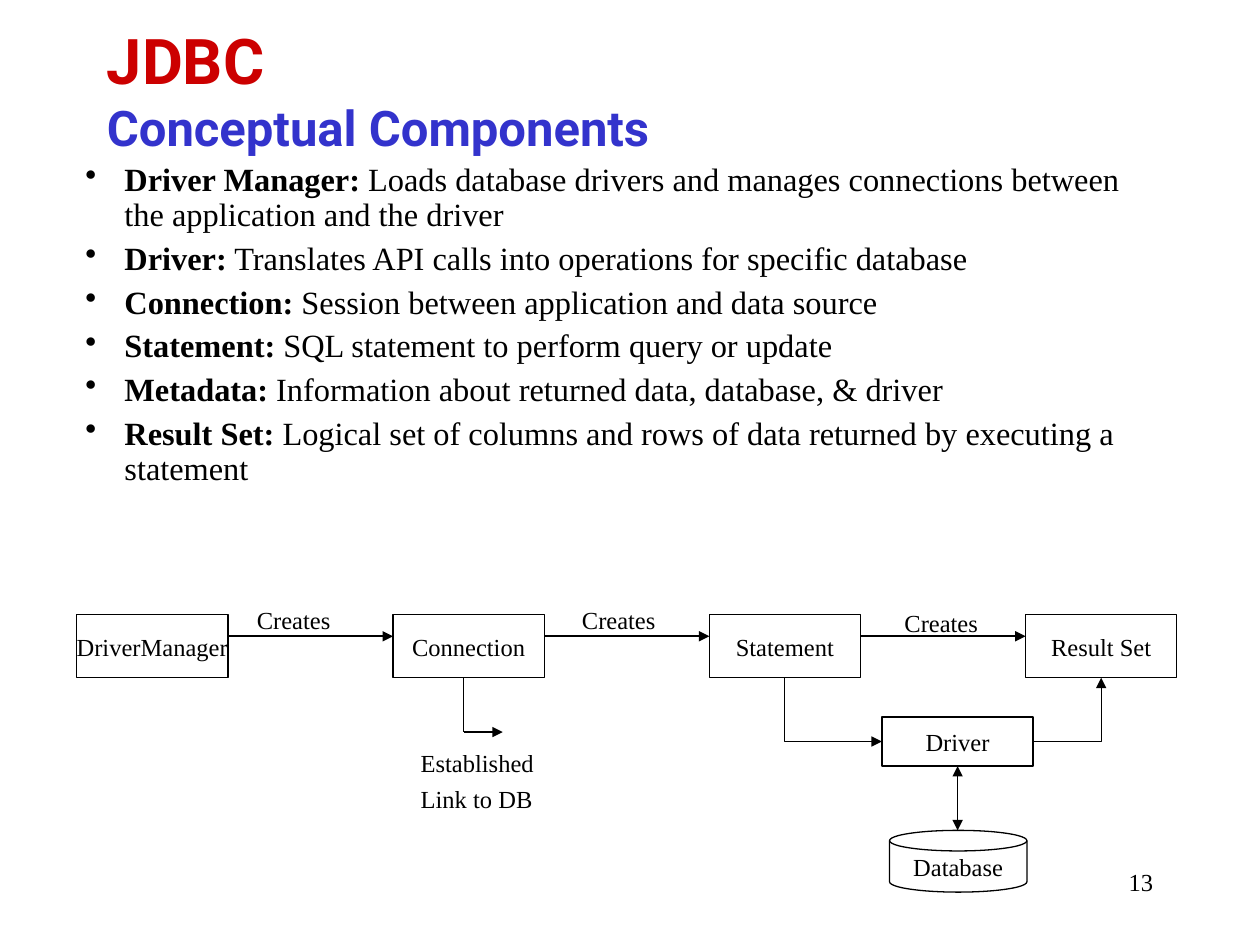
from lxml import etree
from pptx import Presentation
from pptx.dml.color import RGBColor
from pptx.enum.shapes import MSO_CONNECTOR, MSO_SHAPE
from pptx.enum.text import MSO_ANCHOR, MSO_AUTO_SIZE, PP_ALIGN
from pptx.oxml.ns import qn
from pptx.util import Inches, Pt

STRAIGHT, ELBOW = MSO_CONNECTOR.STRAIGHT, MSO_CONNECTOR.ELBOW
RECTANGLE, DISK = MSO_SHAPE.RECTANGLE, MSO_SHAPE.FLOWCHART_MAGNETIC_DISK
TOP, MIDDLE = MSO_ANCHOR.TOP, MSO_ANCHOR.MIDDLE
LEFT, CENTER, RIGHT = PP_ALIGN.LEFT, PP_ALIGN.CENTER, PP_ALIGN.RIGHT
FIT, NO_FIT = MSO_AUTO_SIZE.SHAPE_TO_FIT_TEXT, MSO_AUTO_SIZE.NONE
SIDE_LEFT, SIDE_BOTTOM, SIDE_RIGHT = 1, 2, 3

SERIF, SANS = "Times New Roman", "Roboto"
BLACK, RED, BLUE = "000000", "CC0000", "3333CC"

COMPONENTS = [
    ("Driver Manager:", " Loads database drivers and manages connections between the application and the driver"),
    ("Driver:", " Translates API calls into operations for specific database"),
    ("Connection:", " Session between application and data source"),
    ("Statement:", " SQL statement to perform query or update"),
    ("Metadata:", " Information about returned data, database, & driver"),
    ("Result Set:", " Logical set of columns and rows of data returned by executing a statement"),
]
CHAIN = ["DriverManager", "Connection", "Statement", "Result Set"]
CHAIN_LEFT, CHAIN_TOP, CHAIN_STEP = 0.61, 4.88, 2.51
BOX_WIDTH, BOX_HEIGHT = 1.2, 0.5
ARROW_Y = 5.05
CREATES_LABELS = [
    ((1.94, 4.75, 0.88, 0.34), FIT),
    ((4.52, 4.75, 0.88, 0.34), FIT),
    ((7.08, 4.78, 1.5, 0.33), NO_FIT),
]


def color(value):
    return RGBColor.from_string(value)


def add_span(para, text, size=14, font=SERIF, ink=BLACK, bold=False):
    span = para.add_run()
    span.text = text
    span.font.size = Pt(size)
    span.font.name = font
    span.font.bold = bold
    span.font.color.rgb = color(ink)


def set_text(shape, lines, align=LEFT, anchor=TOP, wrap=False, fit=NO_FIT, before=3.5):
    frame = shape.text_frame
    frame.auto_size = fit
    frame.word_wrap = wrap
    frame.vertical_anchor = anchor
    for index, line in enumerate(lines):
        para = frame.add_paragraph() if index else frame.paragraphs[0]
        para.alignment = align
        para.space_before = Pt(before)
        add_span(para, line)


def add_label(page, place, lines, **text_format):
    box = page.shapes.add_textbox(*map(Inches, place))
    set_text(box, lines, **text_format)


def add_node(page, kind, place, name):
    node = page.shapes.add_shape(kind, *map(Inches, place))
    node.shadow.inherit = False
    node.fill.background()
    node.line.color.rgb = color(BLACK)
    node.line.width = Pt(0.75)
    set_text(node, [name], align=CENTER, anchor=MIDDLE)
    return node


def add_line(page, start, end, width, arrows=(), kind=STRAIGHT):
    line = page.shapes.add_connector(kind, *map(Inches, (*start, *end)))
    line.line.color.rgb = color(BLACK)
    line.line.width = Pt(width)
    outline = line.line._get_or_add_ln()
    for arrow in arrows:
        etree.SubElement(outline, qn(f"a:{arrow}")).set("type", "triangle")
    properties = line._element.spPr
    etree.SubElement(properties, qn("a:effectLst"))
    if kind == ELBOW:
        properties.find(qn("a:prstGeom")).set("prst", "bentConnector2")
    return line


def add_title(page):
    box = page.shapes.add_textbox(*map(Inches, (0.75, 0.08, 8.5, 1.25)))
    box.text_frame.word_wrap = True
    box.text_frame.vertical_anchor = MIDDLE
    para = box.text_frame.paragraphs[0]
    add_span(para, "JDBC", size=36, font=SANS, ink=RED, bold=True)
    para.add_line_break()
    add_span(para, "Conceptual Components", size=28, font=SANS, ink=BLUE, bold=True)


def add_components(page):
    box = page.shapes.add_textbox(*map(Inches, (0.58, 1.25, 8.67, 3.33)))
    frame = box.text_frame
    frame.word_wrap = True
    for index, (term, meaning) in enumerate(COMPONENTS):
        para = frame.add_paragraph() if index else frame.paragraphs[0]
        para.line_spacing = 0.9
        para.space_before = Pt(5)
        properties = para._p.get_or_add_pPr()
        properties.set("marL", str(Inches(0.31)))
        properties.set("indent", str(-Inches(0.31)))
        etree.SubElement(properties, qn("a:buChar")).set("char", "•")
        add_span(para, term, size=18.5, bold=True)
        add_span(para, meaning, size=18.5)


def add_diagram(page):
    lefts = [CHAIN_LEFT + index * CHAIN_STEP for index in range(len(CHAIN))]
    nodes = {
        name: add_node(page, RECTANGLE, (left, CHAIN_TOP, BOX_WIDTH, BOX_HEIGHT), name)
        for name, left in zip(CHAIN, lefts)
    }
    for left, following in zip(lefts, lefts[1:]):
        add_line(page, (left + BOX_WIDTH, ARROW_Y), (following, ARROW_Y), 1, ["tailEnd"])
    for place, fit in CREATES_LABELS:
        add_label(page, place, ["Creates"], fit=fit)

    driver = add_node(page, RECTANGLE, (7, 5.69, BOX_WIDTH, 0.39), "Driver")
    add_node(page, DISK, (7.06, 6.59, 1.09, 0.49), "Database")
    both = add_line(page, (7.6, 6.08), (7.6, 6.59), 0.5, ["headEnd", "tailEnd"])
    both.begin_connect(driver, SIDE_BOTTOM)
    for name, side, start, end, arrow in [
        ("Statement", SIDE_LEFT, (7, 5.89), (6.23, 5.38), "headEnd"),
        ("Result Set", SIDE_RIGHT, (8.2, 5.89), (8.74, 5.38), "tailEnd"),
    ]:
        bend = add_line(page, start, end, 0.5, [arrow], kind=ELBOW)
        bend.begin_connect(driver, side)
        bend.end_connect(nodes[name], SIDE_BOTTOM)

    add_line(page, (3.68, 5.38), (3.68, 5.81), 0.75)
    add_line(page, (3.68, 5.81), (3.99, 5.81), 1, ["tailEnd"])
    add_label(page, (3.24, 5.89, 1.31, 0.62), ["Established", "Link to DB"], fit=FIT)


def main():
    deck = Presentation()
    deck.slide_width, deck.slide_height = Inches(10), Inches(7.5)
    page = deck.slides.add_slide(deck.slide_layouts[6])
    add_label(page, (7.17, 6.83, 2.08, 0.5), ["13"], align=RIGHT, wrap=True, before=0)
    add_components(page)
    add_title(page)
    add_diagram(page)
    deck.save("out.pptx")


if __name__ == "__main__":
    main()
